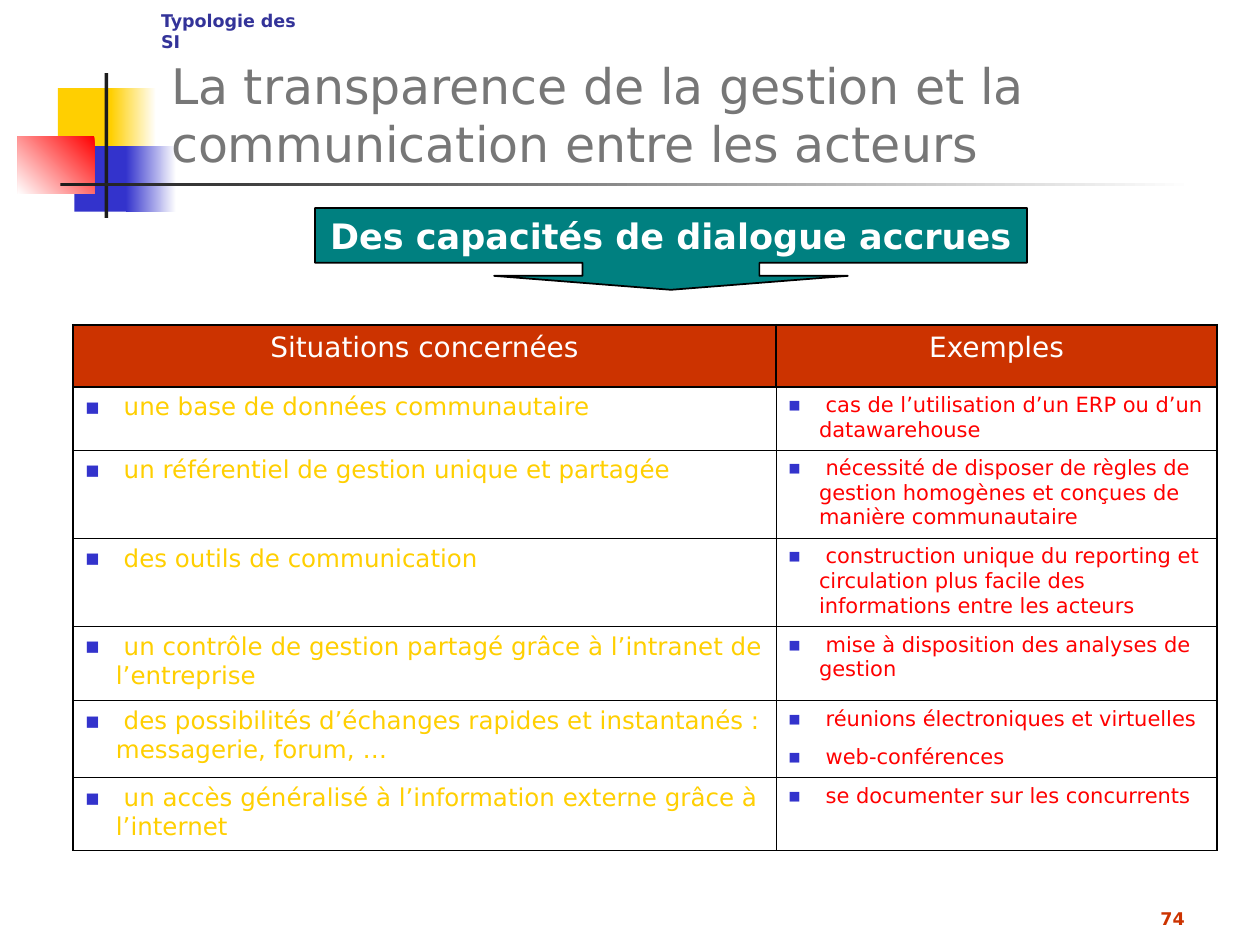
from dataclasses import dataclass

import pptx
import pptx.dml.color
import pptx.enum.shapes
import pptx.enum.text
import pptx.oxml
import pptx.oxml.ns
import pptx.util
from pptx.util import Inches

ALIGN = pptx.enum.text.PP_ALIGN
ANCHOR = pptx.enum.text.MSO_ANCHOR
SHAPE = pptx.enum.shapes.MSO_SHAPE


@dataclass(frozen=True)
class Theme:
    font: str = "DejaVu Sans"
    white: str = "FFFFFF"
    black: str = "000000"
    yellow: str = "FFCF01"
    blue: str = "3333CC"
    red: str = "FF0000"
    ink: str = "1C1C1C"
    teal: str = "008080"
    rust: str = "CC3300"
    title_grey: str = "777777"
    navy: str = "333399"
    title_size: float = 28
    callout_size: float = 20
    header_size: float = 16
    situation_size: float = 14
    example_size: float = 12
    small_size: float = 10
    outer_line: float = 1.08
    header_line: float = 1.47
    column_line: float = 0.45
    row_line: float = 0.11


THEME = Theme()


@dataclass(frozen=True)
class Box:
    left: float
    top: float
    width: float
    height: float

    def lengths(self) -> list:
        return [Inches(v) for v in (self.left, self.top, self.width, self.height)]


@dataclass(frozen=True)
class Block:
    box: Box
    color: str
    fade_to: str = ""
    angle: float = 0


@dataclass(frozen=True)
class TextStyle:
    size: float
    color: str
    bold: bool = False
    align: ALIGN = ALIGN.LEFT


@dataclass(frozen=True)
class Row:
    height: float
    situation: str
    examples: tuple


DECORATION = [
    Block(Box(0.46, 0.7, 0.48, 0.52), THEME.yellow),
    Block(Box(0.88, 0.7, 0.36, 0.52), THEME.yellow, THEME.white),
    Block(Box(0.59, 1.16, 0.46, 0.52), THEME.blue),
    Block(Box(1, 1.16, 0.4, 0.52), THEME.blue, THEME.white),
    Block(Box(0.14, 1.08, 0.61, 0.46), THEME.red, THEME.white, 225),
    Block(Box(0.83, 0.58, 0.03, 1.15), THEME.ink),
    Block(Box(0.48, 1.45, 9, 0.03), THEME.ink, THEME.white),
]

HEADINGS = ("Situations concernées", "Exemples")
HEADING_HEIGHT = 0.49
COLUMN_WIDTHS = (5.58, 3.5)
ROWS = [
    Row(0.5, " une base de données communautaire",
        (" cas de l’utilisation d’un ERP ou d’un datawarehouse",)),
    Row(0.7, " un référentiel de gestion unique et partagée",
        (" nécessité de disposer de règles de gestion homogènes et conçues"
         " de manière communautaire",)),
    Row(0.7, " des outils de communication",
        (" construction unique du reporting et circulation plus facile des"
         " informations entre les acteurs",)),
    Row(0.59, " un contrôle de gestion partagé grâce à l’intranet de l’entreprise",
        (" mise à disposition des analyses de gestion",)),
    Row(0.61, " des possibilités d’échanges rapides et instantanés : messagerie, forum, …",
        (" réunions électroniques et virtuelles", " web-conférences")),
    Row(0.58, " un accès généralisé à l’information externe grâce à l’internet",
        (" se documenter sur les concurrents",)),
]


def rgb(color: str) -> pptx.dml.color.RGBColor:
    return pptx.dml.color.RGBColor.from_string(color)


def style_paragraph(paragraph, style: TextStyle) -> None:
    paragraph.alignment = style.align
    for run in paragraph.runs:
        run.font.name = THEME.font
        run.font.size = pptx.util.Pt(style.size)
        run.font.bold = style.bold
        run.font.color.rgb = rgb(style.color)


def add_block(slide, block: Block) -> None:
    shape = slide.shapes.add_shape(SHAPE.RECTANGLE, *block.box.lengths())
    shape.shadow.inherit = False
    shape.line.fill.background()
    if block.fade_to:
        shape.fill.gradient()
        shape.fill.gradient_angle = block.angle
        for stop, color in zip(shape.fill.gradient_stops, (block.color, block.fade_to)):
            stop.color.rgb = rgb(color)
    else:
        shape.fill.solid()
        shape.fill.fore_color.rgb = rgb(block.color)


def add_text(slide, box: Box, text: str, style: TextStyle, anchor: ANCHOR) -> None:
    frame = slide.shapes.add_textbox(*box.lengths()).text_frame
    frame.word_wrap = True
    frame.vertical_anchor = anchor
    frame.text = text
    style_paragraph(frame.paragraphs[0], style)


def add_callout(slide, box: Box, text: str, style: TextStyle) -> None:
    callout = slide.shapes.add_shape(SHAPE.DOWN_ARROW_CALLOUT, *box.lengths())
    for index, value in enumerate((2.16, 2.16, 0.17, 0.67)):
        callout.adjustments[index] = value
    callout.shadow.inherit = False
    callout.fill.solid()
    callout.fill.fore_color.rgb = rgb(THEME.teal)
    callout.line.color.rgb = rgb(THEME.black)
    callout.line.width = pptx.util.Pt(1)
    callout.text_frame.word_wrap = True
    callout.text_frame.vertical_anchor = ANCHOR.MIDDLE
    callout.text_frame.text = text
    style_paragraph(callout.text_frame.paragraphs[0], style)


def add_bullet(paragraph) -> None:
    properties = paragraph._p.get_or_add_pPr()
    properties.set("marL", str(Inches(0.24)))
    properties.set("indent", str(-Inches(0.24)))
    namespace = pptx.oxml.ns.nsdecls("a")
    for xml in (
        f'<a:buClr {namespace}><a:srgbClr val="{THEME.blue}"/></a:buClr>',
        f'<a:buSzPct {namespace} val="60000"/>',
        f'<a:buFont {namespace} typeface="{THEME.font}"/>',
        f'<a:buChar {namespace} char="■"/>',
    ):
        properties.append(pptx.oxml.parse_xml(xml))


def set_borders(cell, left: float, right: float, top: float, bottom: float) -> None:
    properties = cell._tc.get_or_add_tcPr()
    for index, (side, width) in enumerate(zip("LRTB", (left, right, top, bottom))):
        properties.insert(index, pptx.oxml.parse_xml(
            f'<a:ln{side} {pptx.oxml.ns.nsdecls("a")} w="{pptx.util.Pt(width)}">'
            f'<a:solidFill><a:srgbClr val="{THEME.black}"/></a:solidFill></a:ln{side}>'))


def fill_body_cell(cell, items: tuple, style: TextStyle) -> None:
    cell.fill.background()
    cell.text_frame.text = "\n".join(items)
    for index, paragraph in enumerate(cell.text_frame.paragraphs):
        add_bullet(paragraph)
        if index:
            paragraph.space_before = pptx.util.Pt(7.5)
        style_paragraph(paragraph, style)


def add_situations_table(slide, left: float, top: float) -> None:
    heights = [HEADING_HEIGHT] + [row.height for row in ROWS]
    box = Box(left, top, sum(COLUMN_WIDTHS), sum(heights))
    table = slide.shapes.add_table(len(heights), len(COLUMN_WIDTHS), *box.lengths()).table
    table.first_row = table.horz_banding = False
    for column, width in zip(table.columns, COLUMN_WIDTHS):
        column.width = Inches(width)
    for line, height in zip(table.rows, heights):
        line.height = Inches(height)

    heading_style = TextStyle(THEME.header_size, THEME.white, align=ALIGN.CENTER)
    for cell, heading in zip(table.rows[0].cells, HEADINGS):
        cell.fill.solid()
        cell.fill.fore_color.rgb = rgb(THEME.rust)
        cell.text_frame.text = heading
        style_paragraph(cell.text_frame.paragraphs[0], heading_style)
        set_borders(cell, *[THEME.header_line] * 4)

    for number, row in enumerate(ROWS, start=1):
        situation, examples = table.rows[number].cells
        fill_body_cell(situation, (row.situation,), TextStyle(THEME.situation_size, THEME.yellow))
        fill_body_cell(examples, row.examples, TextStyle(THEME.example_size, THEME.red))
        above = THEME.header_line if number == 1 else THEME.row_line
        below = THEME.outer_line if number == len(ROWS) else THEME.row_line
        set_borders(situation, THEME.outer_line, THEME.column_line, above, below)
        set_borders(examples, THEME.column_line, THEME.outer_line, above, below)


def main() -> None:
    deck = pptx.Presentation()
    deck.slide_width, deck.slide_height = Inches(10), Inches(7.5)
    slide = deck.slides.add_slide(deck.slide_layouts[6])
    for block in DECORATION:
        add_block(slide, block)
    add_callout(slide, Box(2.5, 1.65, 5.65, 0.65), "Des capacités de dialogue accrues",
                TextStyle(THEME.callout_size, THEME.white, True, ALIGN.CENTER))
    add_situations_table(slide, 0.58, 2.58)
    add_text(slide, Box(1.26, 0.17, 8.52, 1.25),
             "La transparence de la gestion et la communication entre les acteurs",
             TextStyle(THEME.title_size, THEME.title_grey), ANCHOR.BOTTOM)
    add_text(slide, Box(1.18, 0.03, 1.31, 0.27), "Typologie des SI",
             TextStyle(THEME.small_size, THEME.navy, True), ANCHOR.TOP)
    add_text(slide, Box(7.42, 6.92, 2.08, 0.5), "74",
             TextStyle(THEME.small_size, THEME.rust, True, ALIGN.RIGHT), ANCHOR.BOTTOM)
    deck.save("out.pptx")


if __name__ == "__main__":
    main()
